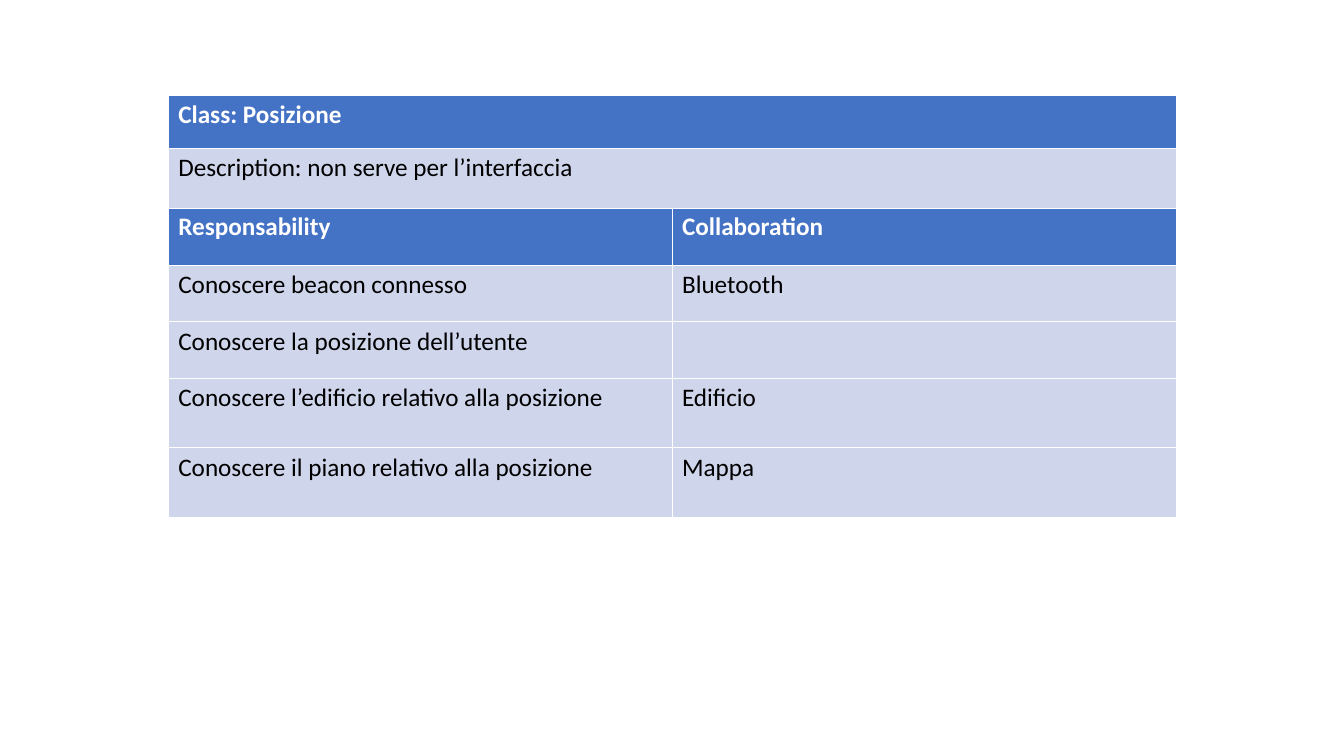
from pptx import Presentation
from pptx.dml.color import RGBColor
from pptx.oxml.ns import qn
from pptx.util import Inches, Pt
from lxml import etree

# Each table: top edge, row heights, rows of text (the first row is the header)
WIDTH, LEFT = 10, 1.67
TABLES = [
    (2.05, [0.58, 0.56, 0.56, 0.69, 0.69], [
        ("Responsability", "Collaboration"),
        ("Conoscere beacon connesso", "Bluetooth"),
        ("Conoscere la posizione dell’utente", ""),
        ("Conoscere l’edificio relativo alla posizione", "Edificio"),
        ("Conoscere il piano relativo alla posizione", "Mappa"),
    ]),
    (0.94, [0.53, 0.59], [
        ("Class: Posizione",),
        ("Description: non serve per l’interfaccia",),
    ]),
]
THEME = {
    "font": "Calibri", "size": 18, "spacing": 0.96,
    "head": ("4472C4", "FFFFFF"), "body": ("CFD5EA", "000000"),
    "line": "FFFFFF", "thin": 0.11, "thick": 0.34,
}


def add_edge(cell, side, width):
    props = cell._tc.get_or_add_tcPr()
    edge = etree.SubElement(props, qn(f"a:ln{side}"), w=str(int(Pt(width))))
    fill = etree.SubElement(edge, qn("a:solidFill"))
    etree.SubElement(fill, qn("a:srgbClr"), val=THEME["line"])


def style_cell(cell, text, head, last):
    thin, thick = THEME["thin"], THEME["thick"]
    widths = {"L": thin, "R": thin,
              "T": thin if head else thick, "B": thin if last else thick}
    for side, width in widths.items():
        add_edge(cell, side, width)
    back, ink = THEME["head" if head else "body"]
    cell.fill.solid()
    cell.fill.fore_color.rgb = RGBColor.from_string(back)
    cell.text_frame.text = text
    para = cell.text_frame.paragraphs[0]
    para.line_spacing = THEME["spacing"]
    for font in [para.font] + [run.font for run in para.runs]:
        font.name = THEME["font"]
        font.size = Pt(THEME["size"])
        font.bold = head
        font.color.rgb = RGBColor.from_string(ink)


def add_grid(slide, top, heights, rows):
    count = len(rows[0])
    table = slide.shapes.add_table(
        len(rows), count, Inches(LEFT), Inches(top),
        Inches(WIDTH), Inches(sum(heights))).table
    table.first_row = table.horz_banding = False
    for col in table.columns:
        col.width = Inches(WIDTH / count)
    for r, (height, texts) in enumerate(zip(heights, rows)):
        table.rows[r].height = Inches(height)
        for c, text in enumerate(texts):
            style_cell(table.cell(r, c), text, r == 0, r == len(rows) - 1)


def main():
    deck = Presentation()
    deck.slide_width, deck.slide_height = Inches(13.34), Inches(7.5)
    slide = deck.slides.add_slide(deck.slide_layouts[6])
    for top, heights, rows in TABLES:
        add_grid(slide, top, heights, rows)
    deck.save("out.pptx")


if __name__ == "__main__":
    main()
